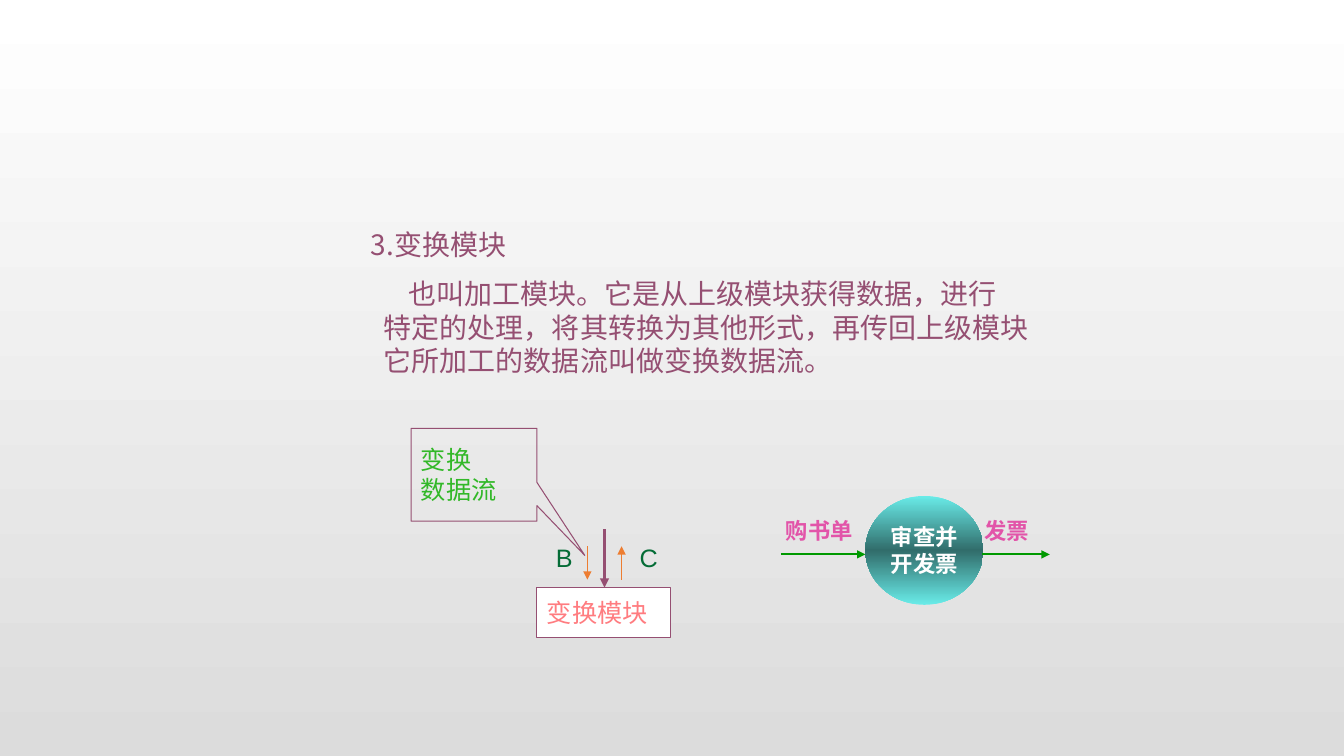
"""Build the slide that explains transform modules with two small diagrams."""
from copy import deepcopy
from dataclasses import dataclass
from typing import Optional

from lxml.etree import SubElement
from pptx import Presentation
from pptx.dml.color import RGBColor as Rgb
from pptx.dml.fill import FillFormat as Fill
from pptx.enum.shapes import MSO_CONNECTOR as Link, MSO_SHAPE as Kind
from pptx.enum.text import MSO_ANCHOR as Anchor, MSO_AUTO_SIZE as Fit, PP_ALIGN as Align
from pptx.oxml.ns import qn
from pptx.shapes.base import BaseShape as Shape
from pptx.slide import Slide
from pptx.util import Inches, Pt


@dataclass(frozen=True)
class Theme:
    """Colours, fonts and type sizes of the slide."""
    plum: str = "954F72"
    coral: str = "FF7C80"
    orange: str = "ED7D31"
    forest: str = "046C36"
    lime: str = "32B828"
    green: str = "009900"
    pink: str = "E254A9"
    white: str = "FFFFFF"
    page: tuple[str, ...] = ("FFFFFF", "DCDCDC")
    teal: tuple[str, ...] = ("69EBE8", "316D6B", "69EBE8")
    hans: str = "Noto Sans CJK SC"
    serif: str = "Times New Roman"
    sans: str = "Arial"
    head: int = 20
    node: int = 18
    flow: int = 16


THEME = Theme()


@dataclass(frozen=True)
class Style:
    """Look of a piece of text."""
    color: str
    size: int
    font: str
    bold: bool = False
    align: Align = Align.LEFT


@dataclass(frozen=True)
class Item:
    """A text box, or a preset shape when kind is given."""
    text: str
    box: tuple[float, float, float, float]
    style: Style
    kind: Optional[Kind] = None
    fill: tuple[str, ...] = ()
    line: Optional[str] = None
    adjust: tuple[float, ...] = ()
    turn: float = 0
    wrap: bool = False


@dataclass(frozen=True)
class Arrow:
    """A straight arrow from start to end."""
    start: tuple[float, float]
    end: tuple[float, float]
    color: str
    width: float


HEAD = Style(THEME.plum, THEME.head, THEME.hans)
NODE = Style(THEME.coral, THEME.node, THEME.serif)
NOTE = Style(THEME.lime, THEME.node, THEME.hans)
MARK = Style(THEME.forest, THEME.node, THEME.sans)
FLOW = Style(THEME.pink, THEME.flow, THEME.serif, True)
STEP = Style(THEME.white, THEME.flow, THEME.serif, True, Align.CENTER)

TITLE = Item("3.变换模块", (3.58, 2.17, 1.75, 0.5), HEAD, wrap=True)
BODY = Item("也叫加工模块。它是从上级模块获得数据，进行\v"
            "特定的处理，将其转换为其他形式，再传回上级模块\v"
            "它所加工的数据流叫做变换数据流。", (3.58, 2.58, 7.42, 1.33), HEAD, wrap=True)
ITEMS = (
    Item("变换模块", (5.33, 5.83, 1.33, 0.5), NODE, Kind.RECTANGLE,
         (THEME.white,), THEME.plum),
    Item("C", (6.25, 5.33, 0.38, 0.4), MARK),
    Item("B", (5.42, 5.33, 0.36, 0.4), MARK),
    Item("变换\n数据流", (4.08, 4.25, 1.25, 0.92), NOTE, Kind.RECTANGULAR_CALLOUT,
         line=THEME.plum, adjust=(0.88, 0.87), wrap=True),
    Item("审查并\n开发票", (8.59, 4.92, 1.17, 1.08), STEP, Kind.OVAL, THEME.teal),
    Item("发票", (9.67, 5.08, 0.75, 0.37), FLOW, wrap=True),
    Item("购书单", (7.7, 5.08, 0.97, 0.37), FLOW, turn=-0.8),
)
ARROWS = (
    Arrow((6, 5.25), (6, 5.83), THEME.plum, 2.25),
    Arrow((5.83, 5.42), (5.83, 5.75), THEME.orange, 0.75),
    Arrow((6.17, 5.75), (6.17, 5.42), THEME.orange, 0.75),
    Arrow((7.75, 5.5), (8.59, 5.5), THEME.green, 1.5),
    Arrow((9.75, 5.5), (10.42, 5.5), THEME.green, 1.5),
)


def blend(fill: Fill, tints: tuple[str, ...]) -> None:
    """Colour the evenly spaced stops of a top-down gradient."""
    fill.gradient_angle = 270
    for rank, (stop, tint) in enumerate(zip(fill.gradient_stops, tints)):
        stop.color.rgb = Rgb.from_string(tint)
        stop.position = rank / (len(tints) - 1)


def write(shape: Shape, item: Item, anchor: Anchor) -> None:
    """Place a shape and set its text."""
    shape.left, shape.top, shape.width, shape.height = map(Inches, item.box)
    frame, style = shape.text_frame, item.style
    frame.text = item.text
    frame.auto_size = Fit.NONE
    frame.word_wrap = item.wrap
    frame.vertical_anchor = anchor
    for para in frame.paragraphs:
        para.alignment = style.align
        para.space_before = Pt(0)
        for run in para.runs:
            font = run.font
            font.name, font.size, font.bold = style.font, Pt(style.size), style.bold
            font.color.rgb = Rgb.from_string(style.color)


def indent(shape: Shape) -> None:
    """Drop the bullet and indent the first line."""
    for para in shape.text_frame.paragraphs:
        props = para._p.get_or_add_pPr()
        props.set("marL", str(Inches(0.13)))
        props.set("indent", str(Inches(0.24)))
        SubElement(props, qn("a:buNone"))


def draw(slide: Slide, item: Item) -> None:
    """Add a text box or a preset shape."""
    box = map(Inches, item.box)
    if item.kind is None:
        shape = slide.shapes.add_textbox(*box)
        shape.rotation = item.turn
        write(shape, item, Anchor.TOP)
        return
    shape = slide.shapes.add_shape(item.kind, *box)
    shape.shadow.inherit = False
    for rank, value in enumerate(item.adjust):
        shape.adjustments[rank] = value
    if len(item.fill) > 1:
        shape.fill.gradient()
        stops = shape.element.spPr.find(".//" + qn("a:gsLst"))
        stops.append(deepcopy(stops[0]))
        blend(shape.fill, item.fill)
    elif item.fill:
        shape.fill.solid()
        shape.fill.fore_color.rgb = Rgb.from_string(item.fill[0])
    else:
        shape.fill.background()
    if item.line:
        shape.line.color.rgb = Rgb.from_string(item.line)
        shape.line.width = Pt(0.75)
    else:
        shape.line.fill.background()
    write(shape, item, Anchor.MIDDLE)


def point(slide: Slide, arrow: Arrow) -> None:
    """Add an arrow."""
    ends = map(Inches, arrow.start + arrow.end)
    link = slide.shapes.add_connector(Link.STRAIGHT, *ends)
    link.line.color.rgb = Rgb.from_string(arrow.color)
    link.line.width = Pt(arrow.width)
    SubElement(link.line._get_or_add_ln(), qn("a:tailEnd"), type="triangle")
    SubElement(link.element.spPr, qn("a:effectLst"))


def main() -> None:
    """Build and save the slide."""
    deck = Presentation()
    deck.slide_width, deck.slide_height = Inches(13.34), Inches(7.5)
    slide = deck.slides.add_slide(deck.slide_layouts[1])
    page = slide.background.fill
    page.gradient()
    blend(page, THEME.page)
    title, body = slide.placeholders
    write(title, TITLE, Anchor.MIDDLE)
    write(body, BODY, Anchor.MIDDLE)
    indent(body)
    for item in ITEMS:
        draw(slide, item)
    for arrow in ARROWS:
        point(slide, arrow)
    deck.save("out.pptx")


if __name__ == "__main__":
    main()
